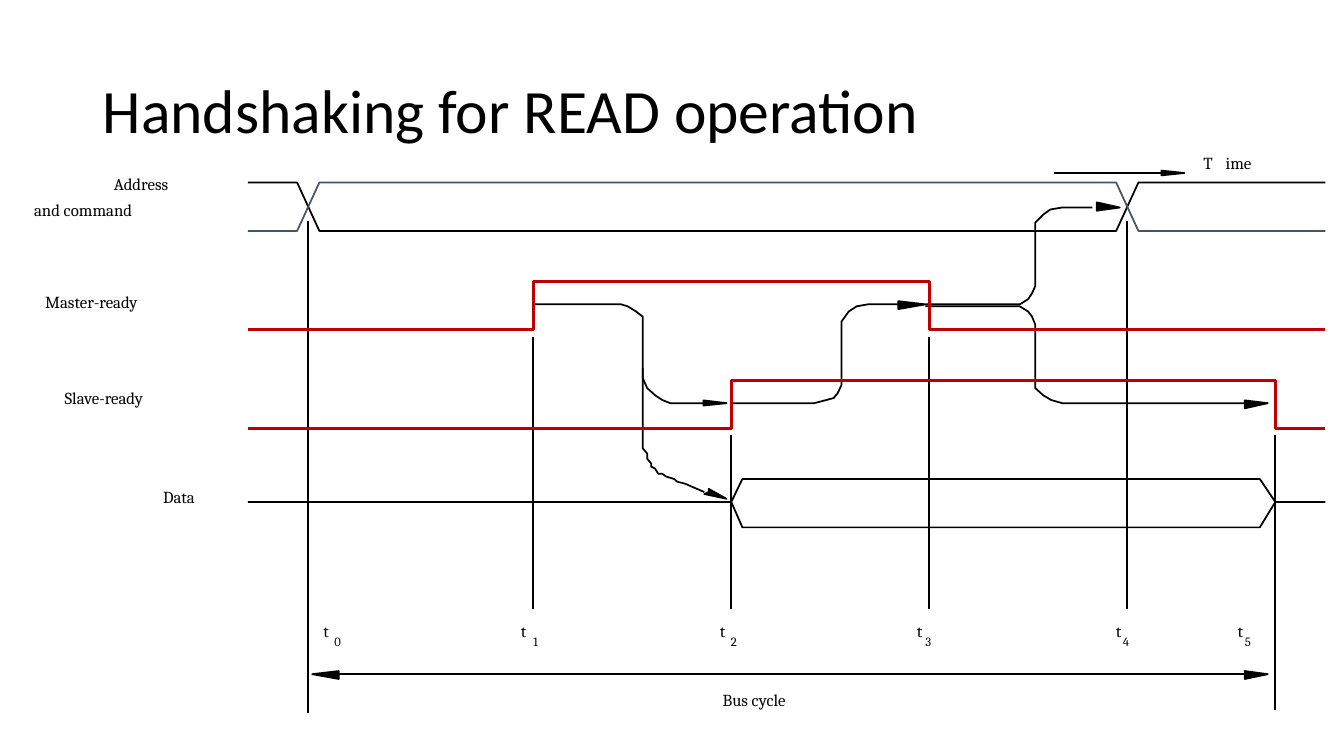
from lxml import etree
from pptx import Presentation
from pptx import util as u
from pptx.dml.color import RGBColor
from pptx.enum import shapes, text
from pptx.oxml import ns

BLACK = RGBColor(0x00, 0x00, 0x00)
SLATE = RGBColor(0x44, 0x54, 0x6A)
RED = RGBColor(0xC0, 0x00, 0x00)

T1, PERIOD = 13.44, 4.99
T2, T3, T4 = (T1 + PERIOD * step for step in (1, 2, 3))
T0, T5 = 7.77, 32.14
WAVE_LEFT, WAVE_RIGHT = 6.25, 33.4
SWING = 1.22
ADDRESS, MASTER, SLAVE, DATA = 4.6, 7.09, 9.58, 12.07
DATA_MIDDLE = DATA + 0.58
CROSS = 0.28
CLOSE = 0.39
ADDRESS_MIDDLE, MASTER_MIDDLE, SLAVE_MIDDLE = 5.23, 7.67, 10.16
TIME_Y, BUS_Y = 4.36, 16.99

HANDSHAKES = [
    [(T1, MASTER_MIDDLE), (15.65, MASTER_MIDDLE), (15.82, 7.72), (16.03, 7.85),
     (16.2, 7.98), (16.2, 9.53), (16.31, 9.78), (16.51, 9.96), (16.69, 10.08),
     (16.89, SLAVE_MIDDLE), (17.75, SLAVE_MIDDLE)],
    [(16.2, 9.27), (16.2, 11.3), (16.31, 11.43), (16.31, 11.56), (16.41, 11.68),
     (16.41, 11.76), (16.51, 11.81), (16.59, 11.94), (16.69, 11.94), (16.79, 12.01),
     (16.99, 12.07), (17.07, 12.14), (17.27, 12.19), (17.45, 12.27), (17.75, 12.4)],
    [(T2, SLAVE_MIDDLE), (20.52, SLAVE_MIDDLE), (20.83, 10.08), (21.01, 10.03),
     (21.11, 9.91), (21.21, 9.7), (21.21, 8.1), (21.39, 7.85), (21.59, 7.72),
     (21.87, MASTER_MIDDLE), (22.63, MASTER_MIDDLE)],
    [(23.32, MASTER_MIDDLE), (25.7, MASTER_MIDDLE), (25.91, 7.54), (26.01, 7.39),
     (26.09, 7.21), (26.09, 5.61), (26.29, 5.41), (26.47, 5.28),
     (26.77, ADDRESS_MIDDLE), (27.53, ADDRESS_MIDDLE)],
    [(23.32, 7.72), (25.7, 7.72), (25.91, 7.85), (26.01, 7.98), (26.09, 8.18),
     (26.09, 9.78), (26.29, 9.96), (26.49, 10.08), (26.77, SLAVE_MIDDLE),
     (31.37, SLAVE_MIDDLE)],
]

ARROWHEADS = [
    (18.31, SLAVE_MIDDLE, 0.58, 0.07, 0.06),
    (23.32, MASTER_MIDDLE, 0.68, 0.08, 0.12),
    (28.22, ADDRESS_MIDDLE, 0.58, 0.13, 0.08),
    (31.95, SLAVE_MIDDLE, 0.58, 0.07, 0.13),
    (29.85, TIME_Y, 0.58, 0.06, 0.06),
    (7.87, BUS_Y, -0.67, 0.08, 0.12),
    (31.95, BUS_Y, 0.58, 0.08, 0.12),
]

LABELS = [
    ("Address", 2.87, 4.39, 2.87),
    ("and command", 0.86, 5.03, 4.95),
    ("Master-ready", 1.14, 7.34, 4.7),
    ("Slave-ready", 1.63, 9.78, 4.22),
    ("Data", 4.11, 12.27, 1.68),
    ("Bus cycle", 18.21, 17.37, 3.45),
    ("T", 30.33, 3.84, 0.53),
    ("ime", 30.89, 3.84, 1.32),
]

TIME_MARKS = [
    (T0, 5.56, 17.96, 8.15, 8.43),
    (T1, 8.48, 15.34, 13.13, 13.44),
    (T2, 10.97, 15.34, 18.14, 18.42),
    (T3, 8.48, 15.34, 23.11, 23.32),
    (T4, 5.56, 15.34, 28.12, 28.3),
    (T5, 10.97, 17.88, 31.19, 31.37),
]


def add_text(page, words, left, top, width, height=0.71, *, size=12, font="Cambria"):
    box = page.shapes.add_textbox(u.Cm(left), u.Cm(top), u.Cm(width), u.Cm(height))
    frame = box.text_frame
    frame.margin_left = frame.margin_right = frame.margin_top = frame.margin_bottom = 0
    frame.word_wrap = False
    frame.auto_size = text.MSO_AUTO_SIZE.SHAPE_TO_FIT_TEXT
    span = frame.paragraphs[0].add_run()
    span.text = words
    span.font.size = u.Pt(size)
    span.font.name = font
    span.font.color.rgb = BLACK
    return box


def add_title(page, words):
    box = add_text(page, words, 2.34, 1.02, 29.21, 3.68, size=44, font="Calibri")
    frame = box.text_frame
    frame.auto_size = text.MSO_AUTO_SIZE.NONE
    frame.word_wrap = True
    frame.margin_left = frame.margin_right = u.Cm(0.25)
    frame.vertical_anchor = text.MSO_ANCHOR.MIDDLE
    frame.paragraphs[0].line_spacing = 0.9


def add_line(page, start, end):
    line = page.shapes.add_connector(
        shapes.MSO_CONNECTOR.STRAIGHT, *(u.Cm(value) for value in start + end))
    line.line.color.rgb = BLACK
    line.line.width = u.Pt(1.25)
    etree.SubElement(line._element.spPr, ns.qn("a:effectLst"))


def add_outline(page, points, *, color=BLACK, weight=1.25, filled=False):
    corners = [(u.Cm(x), u.Cm(y)) for x, y in points]
    builder = page.shapes.build_freeform(*corners[0])
    builder.add_line_segments(corners[1:], close=filled)
    outline = builder.convert_to_shape()
    outline.shadow.inherit = False
    outline.line.color.rgb = color
    outline.line.width = u.Pt(weight)
    if filled:
        outline.fill.solid()
        outline.fill.fore_color.rgb = color
    else:
        outline.fill.background()


def add_arrowhead(page, tip, y, length, above, below):
    back = tip - length
    add_outline(page, [(back, y + below), (tip, y), (back, y - above)], filled=True)


def add_address_wave(page, first, second, color):
    add_outline(page, [
        (WAVE_RIGHT, first), (T4 + CROSS, first), (T4 - CROSS, second),
        (T0 + CROSS, second), (T0 - CROSS, first), (WAVE_LEFT, first)], color=color)


def add_ready_wave(page, high, rise, fall):
    low = high + SWING
    add_outline(page, [
        (WAVE_RIGHT, low), (fall, low), (fall, high),
        (rise, high), (rise, low), (WAVE_LEFT, low)], color=RED, weight=2.25)


def add_data_wave(page):
    bottom = DATA + SWING
    add_outline(page, [
        (T5, DATA_MIDDLE), (T5 - CLOSE, bottom), (T2 + CROSS, bottom), (T2, DATA_MIDDLE)])
    add_outline(page, [
        (WAVE_RIGHT, DATA_MIDDLE), (T5, DATA_MIDDLE), (T5 - CLOSE, DATA),
        (T2 + CROSS, DATA), (T2, DATA_MIDDLE), (WAVE_LEFT, DATA_MIDDLE)])


def main():
    deck = Presentation()
    deck.slide_width, deck.slide_height = u.Cm(33.87), u.Cm(19.05)
    page = deck.slides.add_slide(deck.slide_layouts[6])

    add_title(page, "Handshaking for READ operation")
    for label in LABELS:
        add_text(page, *label)

    add_line(page, (31.37, BUS_Y), (8.53, BUS_Y))
    add_line(page, (29.26, TIME_Y), (26.57, TIME_Y))
    for number, (x, top, bottom, letter_left, digit_left) in enumerate(TIME_MARKS):
        add_line(page, (x, bottom), (x, top))
        add_text(page, "t", letter_left, 15.65, 0.25)
        add_text(page, str(number), digit_left, 15.98, 0.33, 0.53, size=9)

    for curve in HANDSHAKES:
        add_outline(page, curve)
    for arrowhead in ARROWHEADS:
        add_arrowhead(page, *arrowhead)
    add_outline(page, [(17.75, 12.45), (18.31, 12.57), (17.86, 12.32), (17.86, 12.4)],
                filled=True)

    add_address_wave(page, ADDRESS, ADDRESS + SWING, BLACK)
    add_address_wave(page, ADDRESS + SWING, ADDRESS, SLATE)
    add_data_wave(page)
    add_ready_wave(page, MASTER, T1, T3)
    add_ready_wave(page, SLAVE, T2, T5)
    deck.save("out.pptx")


if __name__ == "__main__":
    main()
